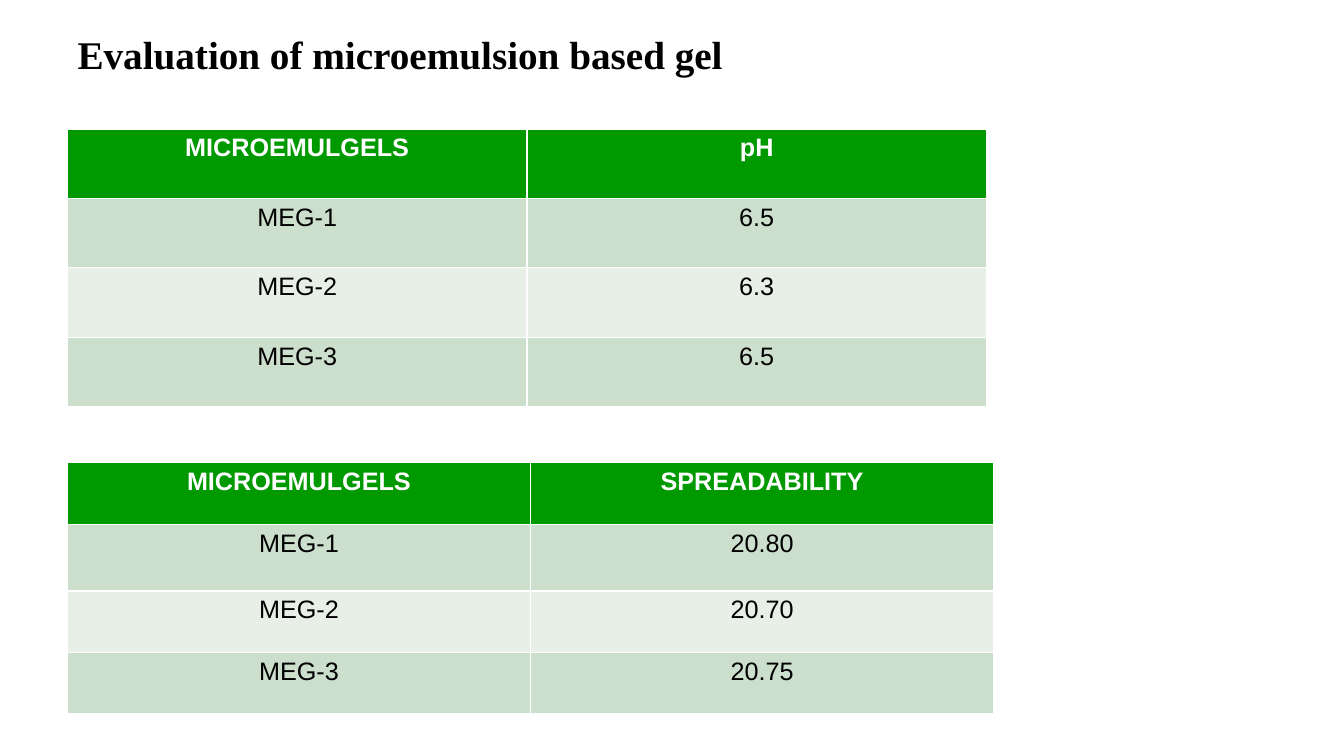
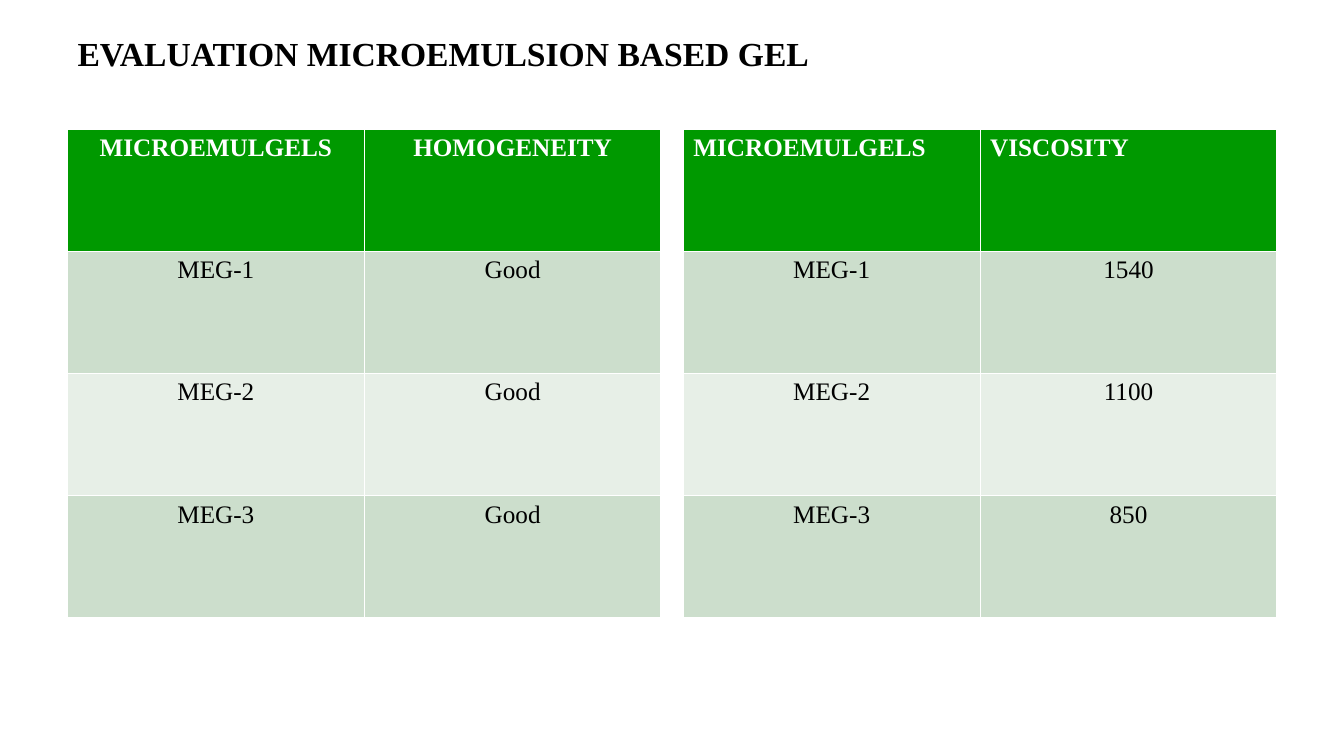
from pptx import Presentation
from pptx.dml.color import RGBColor
from pptx.enum.text import MSO_ANCHOR, MSO_AUTO_SIZE, PP_ALIGN
from pptx.util import Cm, Pt

LEFT, CENTER = PP_ALIGN.LEFT, PP_ALIGN.CENTER
MIDDLE = MSO_ANCHOR.MIDDLE
NO_FIT = MSO_AUTO_SIZE.NONE
SERIF, SANS = "Times New Roman", "Arial"
WHITE, BLACK, GREEN = "FFFFFF", "000000", "009900"
BANDS = ("CCDECC", "E7EFE7")
EDGE, TOP = 1.7, 3.25
GELS = ("MEG-1", "MEG-2", "MEG-3")


def color(code):
    return RGBColor.from_string(code)


def assign(target, values):
    for name, value in values.items():
        setattr(target, name, value)


class Deck:
    def __init__(self):
        self.show = Presentation()
        assign(self.show, {"slide_width": Cm(33.87), "slide_height": Cm(19.05)})
        self.slide = None

    def label(self, frame, text, font, size, ink, bold, align):
        para = frame.paragraphs[0]
        para.alignment = align
        run = para.add_run()
        run.text = text
        assign(run.font, {"name": font, "size": Pt(size), "bold": bold})
        run.font.color.rgb = color(ink)

    def start(self, text, size):
        self.slide = self.show.slides.add_slide(self.show.slide_layouts[5])
        title = self.slide.shapes.title
        assign(title, {"left": Cm(EDGE), "top": Cm(0.53),
                       "width": Cm(30.48), "height": Cm(1.63)})
        frame = title.text_frame
        assign(frame, {"word_wrap": True, "auto_size": NO_FIT,
                       "vertical_anchor": MIDDLE})
        self.label(frame, text, SERIF, size, BLACK, True, LEFT)

    def table(self, left, top, width, heights, trait, values, font, align=CENTER):
        rows = [("MICROEMULGELS", trait), *zip(GELS, values)]
        table = self.slide.shapes.add_table(
            len(rows), 2, Cm(left), Cm(top), Cm(width), Cm(sum(heights))).table
        for i, (row, height) in enumerate(zip(rows, heights)):
            table.rows[i].height = Cm(height)
            head = i == 0
            for j, text in enumerate(row):
                cell = table.cell(i, j)
                cell.fill.solid()
                cell.fill.fore_color.rgb = color(GREEN if head else BANDS[(i - 1) % 2])
                self.label(cell.text_frame, text, font, 18,
                           WHITE if head else BLACK, head,
                           align if head else CENTER)


def main():
    deck = Deck()
    deck.start("Evaluation of microemulsion based gel", 28)
    deck.table(EDGE, TOP, 23.16, [1.75] * 4, "pH", ("6.5", "6.3", "6.5"), SANS)
    deck.table(EDGE, 11.66, 23.34, [1.55, 1.68, 1.55, 1.55], "SPREADABILITY",
               ("20.80", "20.70", "20.75"), SANS)

    deck.start("EVALUATION MICROEMULSION BASED GEL", 24)
    tall = [3.08] * 4
    deck.table(EDGE, TOP, 14.96, tall, "HOMOGENEITY", ("Good",) * 3, SERIF)
    deck.table(17.22, TOP, 14.96, tall, "VISCOSITY",
               ("1540", "1100", "850"), SERIF, LEFT)
    deck.show.save("out.pptx")


if __name__ == "__main__":
    main()
